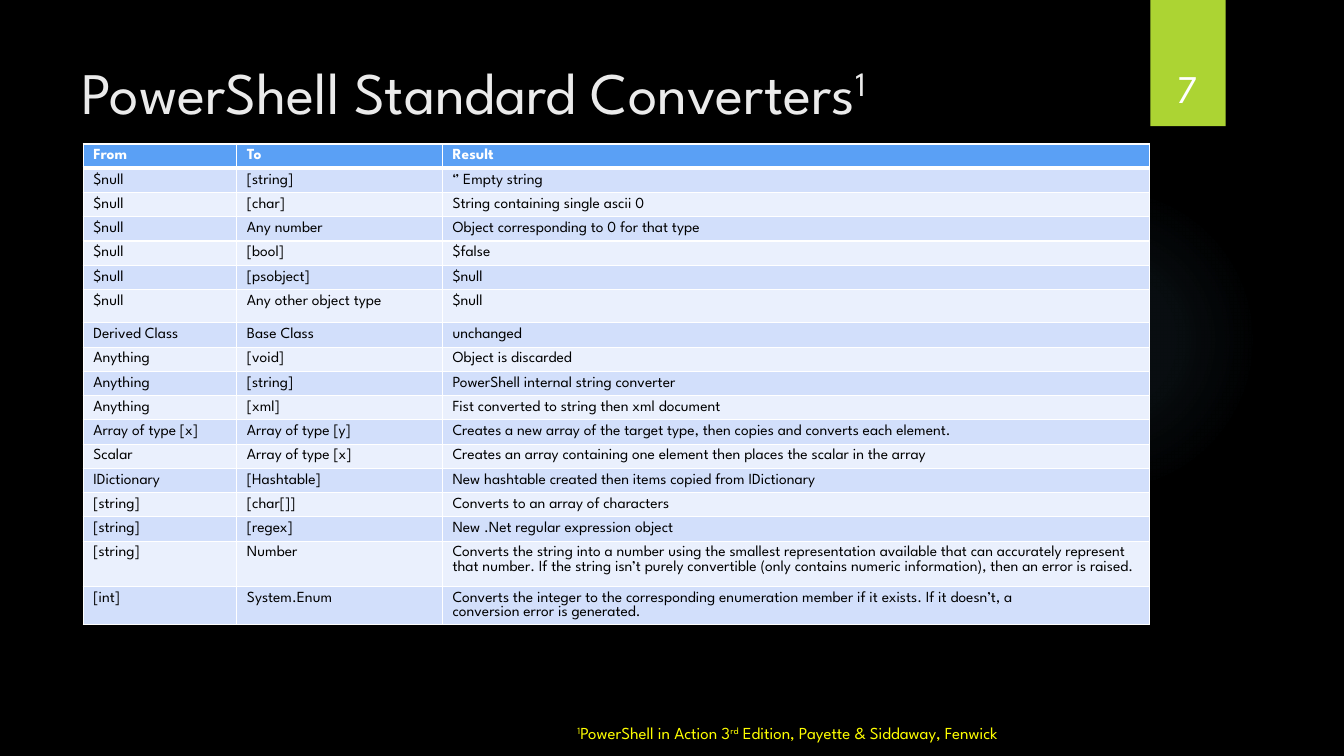
from dataclasses import dataclass

from lxml import etree
from pptx import Presentation
from pptx.dml.color import RGBColor
from pptx.enum import shapes, text
from pptx.oxml import ns
from pptx.util import Cm, Pt

# Text is held as (words, is_superscript) parts
TITLE = [("PowerShell Standard Converters", False), ("1", True)]
PAGE_NUMBER = [("7", False)]
SOURCE_NOTE = [
    ("1", True),
    ("PowerShell in Action 3", False),
    ("rd", True),
    (" Edition, Payette & Siddaway, Fenwick", False),
]
CONVERTERS = [
    ("From", "To", "Result"),
    ("$null", "[string]", "‘’ Empty string"),
    ("$null", "[char]", "String containing single ascii 0"),
    ("$null", "Any number", "Object corresponding to 0 for that type"),
    ("$null", "[bool]", "$false"),
    ("$null", "[psobject]", "$null"),
    ("$null", "Any other object type", "$null"),
    ("Derived Class", "Base Class", "unchanged"),
    ("Anything", "[void]", "Object is discarded"),
    ("Anything", "[string]", "PowerShell internal string converter"),
    ("Anything", "[xml]", "Fist converted to string then xml document"),
    ("Array of type [x]", "Array of type [y]",
     "Creates a new array of the target type, then copies and converts each element."),
    ("Scalar", "Array of type [x]",
     "Creates an array containing one element then places the scalar in the array"),
    ("IDictionary", "[Hashtable]", "New hashtable created then items copied from IDictionary"),
    ("[string]", "[char[]]", "Converts to an array of characters"),
    ("[string]", "[regex]", "New .Net regular expression object"),
    ("[string]", "Number",
     "Converts the string into a number using the smallest representation available "
     "that can accurately represent that number. If the string isn’t purely convertible "
     "(only contains numeric information), then an error is raised."),
    ("[int]", "System.Enum",
     "Converts the integer to the corresponding enumeration member if it exists. "
     "If it doesn’t, a\nconversion error is generated."),
]
COLUMN_WIDTHS = (3.87, 5.18, 17.82)
ROW_HEIGHT = 0.61
TALL_ROWS = {6: 0.84, 16: 1.14, 17: 0.97}


@dataclass(frozen=True)
class Theme:
    font: str = "League Spartan"
    background: str = "000000"
    title: str = "EBEBEB"
    accent: str = "ACD433"
    glow: str = "7AC4F0"
    header: str = "5AA0F5"
    bands: tuple = ("EAF0FD", "D2DFFB")
    light: str = "FFFFFF"
    dark: str = "000000"
    note: str = "FFFF00"
    title_size: int = 42
    number_size: int = 28
    note_size: int = 12
    table_size: int = 11


THEME = Theme()


def place(shape, left, top, width, height):
    shape.left, shape.top, shape.width, shape.height = map(Cm, (left, top, width, height))


def style_font(font, size, color, bold=False):
    font.name, font.size, font.bold = THEME.font, Pt(size), bold
    font.color.rgb = RGBColor.from_string(color)


def write_parts(shape, parts, size, color, align, anchor):
    frame = shape.text_frame
    frame.word_wrap = True
    frame.auto_size = text.MSO_AUTO_SIZE.NONE
    frame.vertical_anchor = anchor
    paragraph = frame.paragraphs[0]
    paragraph.alignment = align
    for words, is_superscript in parts:
        run = paragraph.add_run()
        run.text = words
        style_font(run.font, size, color)
        if is_superscript:
            run.font._element.set("baseline", "30000")


def add_plain_shape(slide, kind, box):
    shape = slide.shapes.add_shape(kind, *map(Cm, box))
    shape.shadow.inherit = False
    shape.line.fill.background()
    return shape


def add_glow(slide):
    """Add a circle that fades out from its centre."""
    glow = add_plain_shape(slide, shapes.MSO_SHAPE.OVAL, (23.9, 4.65, 7.82, 7.82))
    stops = "".join(
        f'<a:gs pos="{position}000"><a:srgbClr val="{THEME.glow}">'
        f'<a:alpha val="{opacity}000"/></a:srgbClr></a:gs>'
        for position, opacity in ((0, 7), (36, 6), (69, 0))
    )
    gradient = etree.fromstring(
        f'<a:gradFill {ns.nsdecls("a")}><a:gsLst>{stops}</a:gsLst><a:path path="circle">'
        '<a:fillToRect l="50000" t="50000" r="50000" b="50000"/></a:path></a:gradFill>'
    )
    glow._element.spPr.find(ns.qn("a:prstGeom")).addnext(gradient)


def set_borders(cell, widths):
    properties = cell._tc.get_or_add_tcPr()
    for side, width in widths.items():
        line = etree.SubElement(properties, ns.qn(f"a:ln{side}"), w=str(Pt(width)))
        fill = etree.SubElement(line, ns.qn("a:solidFill"))
        etree.SubElement(fill, ns.qn("a:srgbClr"), val=THEME.light)


def add_converter_table(slide):
    heights = [TALL_ROWS.get(index, ROW_HEIGHT) for index in range(len(CONVERTERS))]
    frame = slide.shapes.add_table(
        len(CONVERTERS), len(COLUMN_WIDTHS),
        Cm(2.1), Cm(3.63), Cm(sum(COLUMN_WIDTHS)), Cm(sum(heights)),
    )
    table = frame.table
    for column, width in zip(table.columns, COLUMN_WIDTHS):
        column.width = Cm(width)
    for index, (row, values) in enumerate(zip(table.rows, CONVERTERS)):
        row.height = Cm(heights[index])
        is_header = index == 0
        background = THEME.header if is_header else THEME.bands[index % 2]
        color = THEME.light if is_header else THEME.dark
        borders = {"L": 1, "R": 1, "T": 3 if index == 1 else 1, "B": 3 if is_header else 1}
        for cell, value in zip(row.cells, values):
            set_borders(cell, borders)
            cell.fill.solid()
            cell.fill.fore_color.rgb = RGBColor.from_string(background)
            cell.text_frame.text = value
            for paragraph in cell.text_frame.paragraphs:
                for run in paragraph.runs:
                    style_font(run.font, THEME.table_size, color, is_header)


def main():
    presentation = Presentation()
    presentation.slide_width, presentation.slide_height = Cm(33.87), Cm(19.05)
    slide = presentation.slides.add_slide(presentation.slide_layouts[5])
    slide.background.fill.solid()
    slide.background.fill.fore_color.rgb = RGBColor.from_string(THEME.background)

    add_glow(slide)
    tab = add_plain_shape(slide, shapes.MSO_SHAPE.RECTANGLE, (28.99, 0, 1.9, 3.18))
    tab.fill.solid()
    tab.fill.fore_color.rgb = RGBColor.from_string(THEME.accent)

    left, center = text.PP_ALIGN.LEFT, text.PP_ALIGN.CENTER
    top, bottom = text.MSO_ANCHOR.TOP, text.MSO_ANCHOR.BOTTOM
    title = slide.shapes.title
    place(title, 1.81, 1.27, 26.13, 3.89)
    write_parts(title, TITLE, THEME.title_size, THEME.title, left, top)
    add_converter_table(slide)
    number = slide.shapes.add_textbox(*map(Cm, (28.75, 0.81, 2.34, 2.13)))
    write_parts(number, PAGE_NUMBER, THEME.number_size, THEME.light, center, bottom)
    note = slide.shapes.add_textbox(*map(Cm, (14.3, 18.08, 13.64, 0.77)))
    write_parts(note, SOURCE_NOTE, THEME.note_size, THEME.note, left, top)

    presentation.save("out.pptx")


if __name__ == "__main__":
    main()
